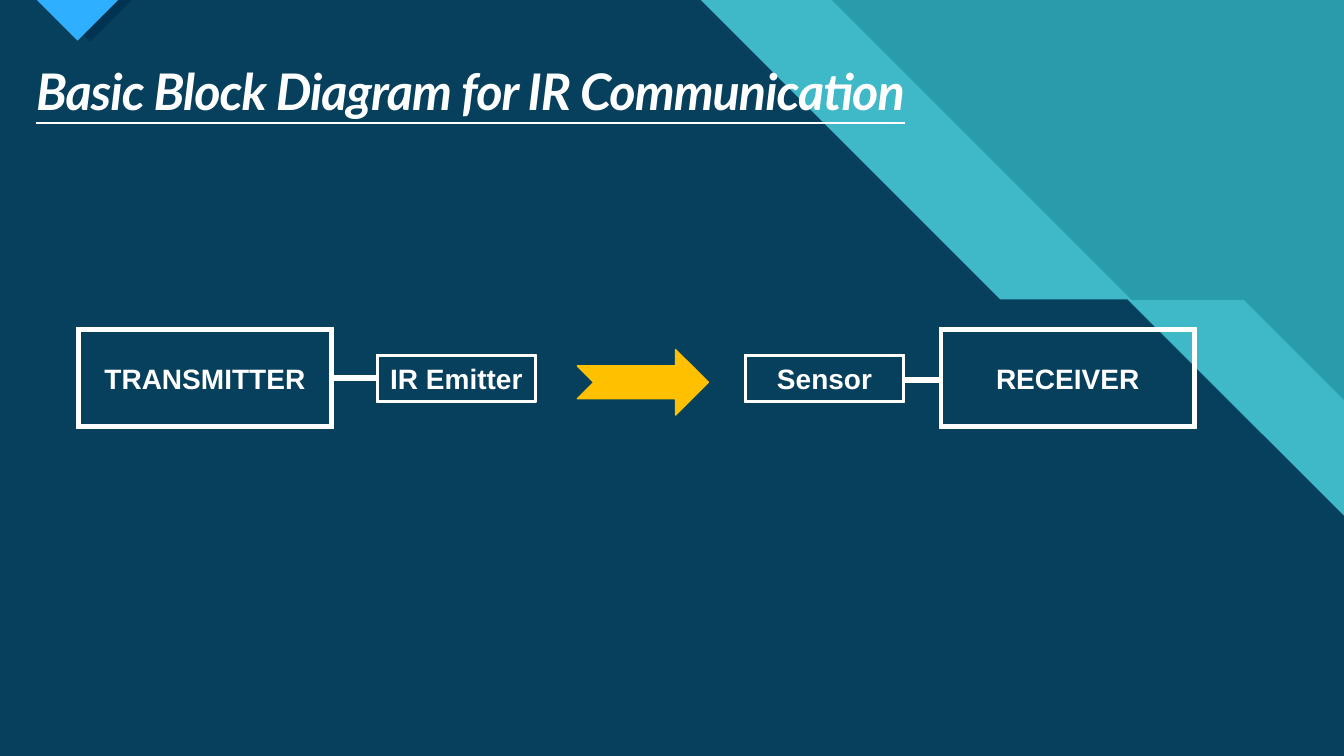
from lxml import etree
from pptx import Presentation
from pptx.dml.color import RGBColor
from pptx.enum.shapes import MSO_CONNECTOR, MSO_SHAPE
from pptx.enum.text import MSO_ANCHOR, PP_ALIGN
from pptx.oxml.ns import qn
from pptx.util import Pt

WIDTH, HEIGHT = 960, 540
TEAL = RGBColor(0x29, 0x9C, 0xAB)
AQUA = RGBColor(0x47, 0xC3, 0xD3)
NAVY = RGBColor(0x00, 0x33, 0x52)
BLUE = RGBColor(0x2F, 0xAF, 0xFF)
AMBER = RGBColor(0xFF, 0xC0, 0x00)
WHITE = RGBColor(0xFF, 0xFF, 0xFF)


def style_run(r, font, size):
    r.font.name = font
    r.font.size = Pt(size)
    r.font.bold = True
    r.font.color.rgb = WHITE


def add_polygon(s, points, color, opacity=100):
    start, *rest = [(Pt(x), Pt(y)) for x, y in points]
    builder = s.shapes.build_freeform(*start)
    builder.add_line_segments(rest, close=True)
    sp = builder.convert_to_shape()
    sp.shadow.inherit = False
    sp.fill.solid()
    sp.fill.fore_color.rgb = color
    sp.line.fill.background()
    if opacity < 100:
        clr = sp.fill._xPr.find(qn("a:solidFill"))[0]
        etree.SubElement(clr, qn("a:alpha")).set("val", str(opacity * 1000))


def add_solid(s, kind, x, y, w, h, color):
    sp = s.shapes.add_shape(kind, Pt(x), Pt(y), Pt(w), Pt(h))
    sp.shadow.inherit = False
    sp.fill.solid()
    sp.fill.fore_color.rgb = color
    sp.line.color.rgb = color
    sp.line.width = Pt(1)
    return sp


def add_block(s, text, x, y, w, h):
    sp = add_solid(s, MSO_SHAPE.FRAME, x, y, w, h, WHITE)
    sp.adjustments[0] = 0.034
    tf = sp.text_frame
    tf.text = text
    tf.word_wrap = True
    tf.vertical_anchor = MSO_ANCHOR.MIDDLE
    p = tf.paragraphs[0]
    p.alignment = PP_ALIGN.CENTER
    style_run(p.runs[0], "Arial", 20)


def add_link(s, x1, x2, y):
    line = s.shapes.add_connector(MSO_CONNECTOR.STRAIGHT, Pt(x1), Pt(y), Pt(x2), Pt(y))
    line.line.color.rgb = WHITE
    line.line.width = Pt(4.5)
    etree.SubElement(line._element.spPr, qn("a:effectLst"))


def add_title(s, text):
    tf = s.shapes.add_textbox(Pt(18.7), Pt(44), Pt(883), Pt(47)).text_frame
    tf.word_wrap = True
    tf.text = text
    p = tf.paragraphs[0]
    p.line_spacing = 0.9
    r = p.runs[0]
    style_run(r, "Lato", 36)
    r.font.italic = True
    r.font.underline = True
    r._r.get_or_add_rPr().set("spc", "-70")


def add_backdrop(s):
    s.background.fill.solid()
    s.background.fill.fore_color.rgb = TEAL
    corners = [(WIDTH, HEIGHT), (0, HEIGHT), (0, 0)]
    add_polygon(s, [(594, 0), (808.3, 214.3), (888.5, 214.3), (WIDTH, 285.8)] + corners, AQUA, 74)
    add_polygon(s, [(500.4, 0), (714.2, 213.8), (805.2, 213.8), (WIDTH, 368.6)] + corners, NAVY, 90)
    add_polygon(s, [(34.8, 0), (94, 0), (64.4, 29.6)], NAVY)
    add_polygon(s, [(26.4, 0), (84.4, 0), (55.4, 29)], BLUE)


def main():
    prs = Presentation()
    prs.slide_width, prs.slide_height = Pt(WIDTH), Pt(HEIGHT)
    s = prs.slides.add_slide(prs.slide_layouts[6])
    add_backdrop(s)
    add_title(s, "Basic Block Diagram for IR Communication")
    for text, x in (("TRANSMITTER", 54.7), ("RECEIVER", 671)):
        add_block(s, text, x, 234, 183.4, 72)
    for text, x in (("IR Emitter", 269), ("Sensor", 532)):
        add_block(s, text, x, 253.4, 114, 33.8)
    add_link(s, 238, 269, 270)
    add_link(s, 645.5, 671, 271.2)
    add_solid(s, MSO_SHAPE.NOTCHED_RIGHT_ARROW, 412.4, 249.7, 93.6, 46.8, AMBER)
    prs.save("out.pptx")


if __name__ == "__main__":
    main()
